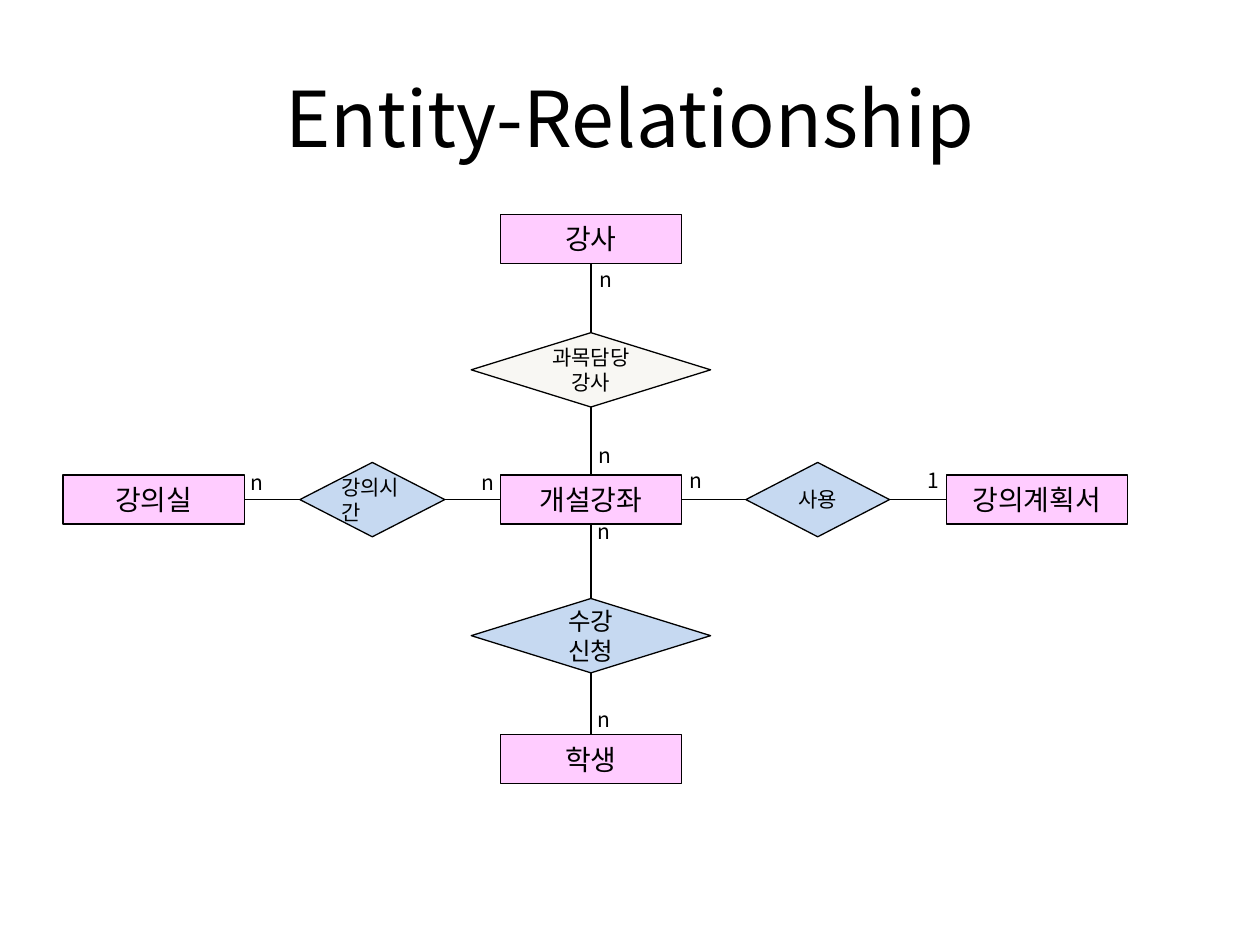
from lxml import etree
from pptx import Presentation
from pptx.dml.color import RGBColor
from pptx.enum.shapes import MSO_CONNECTOR, MSO_SHAPE
from pptx.enum.text import MSO_ANCHOR, MSO_AUTO_SIZE, PP_ALIGN
from pptx.oxml.ns import qn
from pptx.util import Inches, Pt

RECT = MSO_SHAPE.RECTANGLE
DIAMOND = MSO_SHAPE.FLOWCHART_DECISION
STRAIGHT = MSO_CONNECTOR.STRAIGHT
MIDDLE = MSO_ANCHOR.MIDDLE
GROW = MSO_AUTO_SIZE.SHAPE_TO_FIT_TEXT
LEFT, CENTER = PP_ALIGN.LEFT, PP_ALIGN.CENTER

FONT = "Noto Sans CJK KR"
BLACK, PINK, BLUE, CREAM = "000000", "FFCCFF", "C6D9F1", "F8F7F3"
TOP, WEST, BOTTOM, EAST = range(4)  # connection sites of a box
HUB_X, HUB_Y = 4.69, 3.965
BOX_W, BOX_H, GEM_H = 1.44, 0.39, 0.59


def color(text):
    return RGBColor.from_string(text)


def write(frame, text, size, align):
    frame.text = text
    for para in frame.paragraphs:
        para.alignment = align
        for run in para.runs:
            run.font.size = Pt(size)
            run.font.name = FONT
            run.font.color.rgb = color(BLACK)
            # Korean letters take the East Asian font
            east = etree.SubElement(run.font._element, qn("a:ea"))
            east.set("typeface", FONT)


def add_node(slide, kind, mid, dims, fill, text, size, align=CENTER):
    (x, y), (wide, high) = mid, dims
    node = slide.shapes.add_shape(
        kind, Inches(x - wide / 2), Inches(y - high / 2), Inches(wide), Inches(high))
    node.shadow.inherit = False
    node.fill.solid()
    node.fill.fore_color.rgb = color(fill)
    node.line.color.rgb = color(BLACK)
    node.line.width = Pt(0.75)
    frame = node.text_frame
    frame.word_wrap = True
    frame.vertical_anchor = MIDDLE
    frame.margin_left = frame.margin_right = Inches(0.04)
    frame.margin_top = frame.margin_bottom = Inches(0.04)
    write(frame, text, size, align)
    return node


def add_entity(slide, mid, text):
    return add_node(slide, RECT, mid, (BOX_W, BOX_H), PINK, text, 16)


def add_link(slide, start, site, end, other):
    line = slide.shapes.add_connector(STRAIGHT, 0, 0, 0, 0)
    line.begin_connect(start, site)
    line.end_connect(end, other)
    line.line.color.rgb = color(BLACK)
    line.line.width = Pt(0.75)
    etree.SubElement(line._element.spPr, qn("a:effectLst"))


def add_count(slide, left, top, text):
    box = slide.shapes.add_textbox(
        Inches(left), Inches(top), Inches(0.19), Inches(0.3))
    box.text_frame.word_wrap = True
    box.text_frame.auto_size = GROW
    write(box.text_frame, text, 12, LEFT)


def add_title(slide, left, top, wide, high):
    title = slide.shapes.title
    title.left, title.top = Inches(left), Inches(top)
    title.width, title.height = Inches(wide), Inches(high)
    title.text_frame.vertical_anchor = MIDDLE
    write(title.text_frame, "Entity-Relationship", 44, CENTER)


def add_diagram(slide, x, y):
    hub = add_entity(slide, (x, y), "개설강좌")

    # Arms: hub side, outer side, entity and its offset,
    # relation with its offset, width, fill, text size and alignment
    arms = [
        (TOP, BOTTOM, "강사", (0, -2.07),
         "과목담당\n강사", (0, -1.03), 1.9, CREAM, 12, CENTER),
        (WEST, EAST, "강의실", (-3.47, 0),
         "강의시간", (-1.735, 0), 1.15, BLUE, 12, LEFT),
        (BOTTOM, TOP, "학생", (0, 2.06),
         "수강\n신청", (0, 1.08), 1.9, BLUE, 14, CENTER),
        (EAST, WEST, "강의계획서", (3.54, 0),
         "사용", (1.8, 0), 1.14, BLUE, 12, CENTER),
    ]
    for near, far, name, (dx, dy), verb, (gx, gy), wide, fill, size, align in arms:
        entity = add_entity(slide, (x + dx, y + dy), name)
        gem = add_node(slide, DIAMOND, (x + gx, y + gy), (wide, GEM_H),
                       fill, verb, size, align)
        add_link(slide, hub, near, gem, far)
        add_link(slide, gem, near, entity, far)

    # Counts at the line ends, offset from the hub centre
    counts = [
        (-0.02, -1.9, "n"), (-0.03, -0.5, "n"),
        (-0.04, 0.1, "n"), (-0.04, 1.59, "n"),
        (-2.79, -0.29, "n"), (-0.96, -0.29, "n"),
        (0.69, -0.3, "n"), (2.58, -0.3, "1"),
    ]
    for dx, dy, text in counts:
        add_count(slide, x + dx, y + dy, text)


def main():
    deck = Presentation()
    deck.slide_width, deck.slide_height = Inches(10), Inches(7.5)
    slide = deck.slides.add_slide(deck.slide_layouts[5])
    add_title(slide, 0.5, 0.3, 9, 1.25)
    add_diagram(slide, HUB_X, HUB_Y)
    deck.save("out.pptx")


if __name__ == "__main__":
    main()
